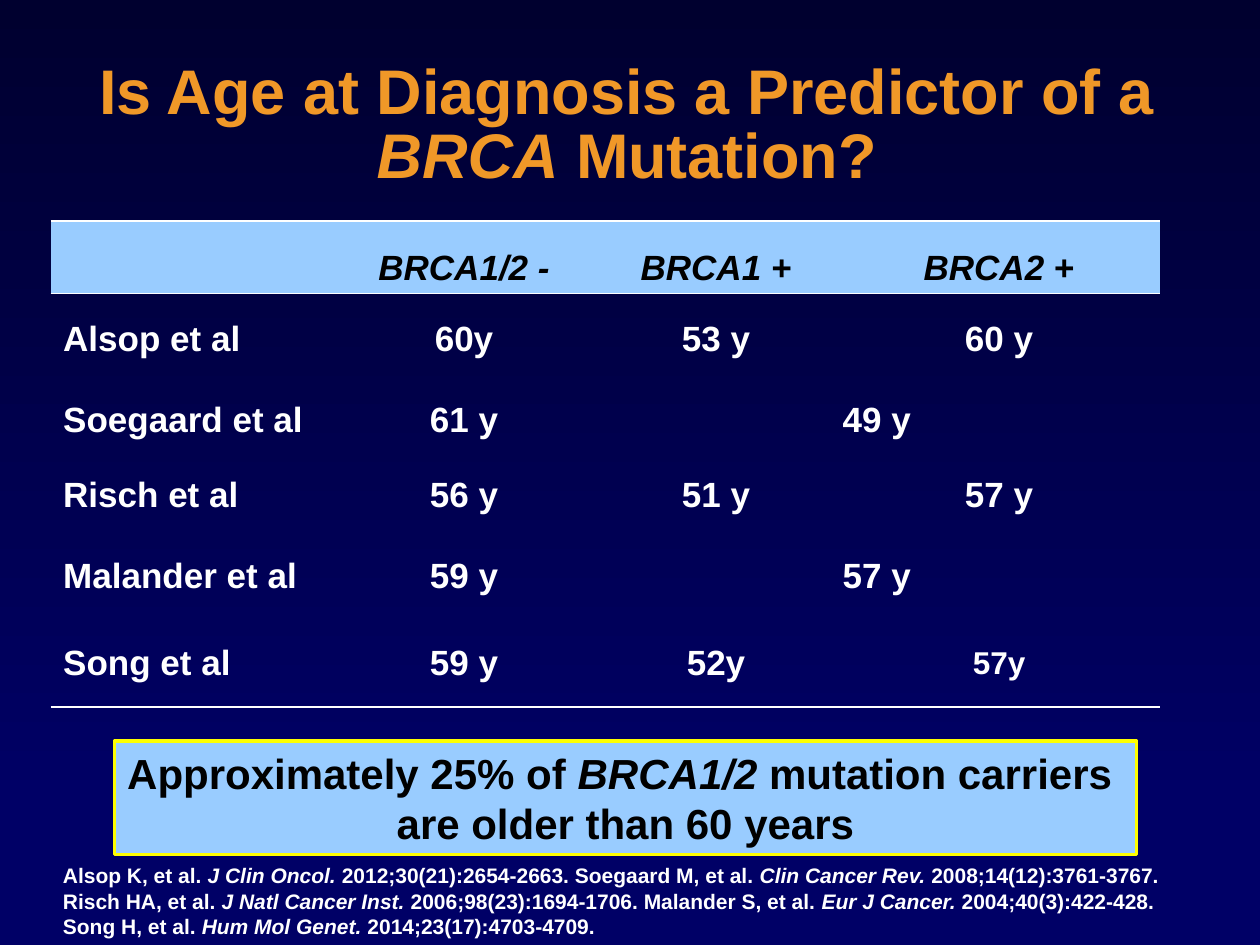
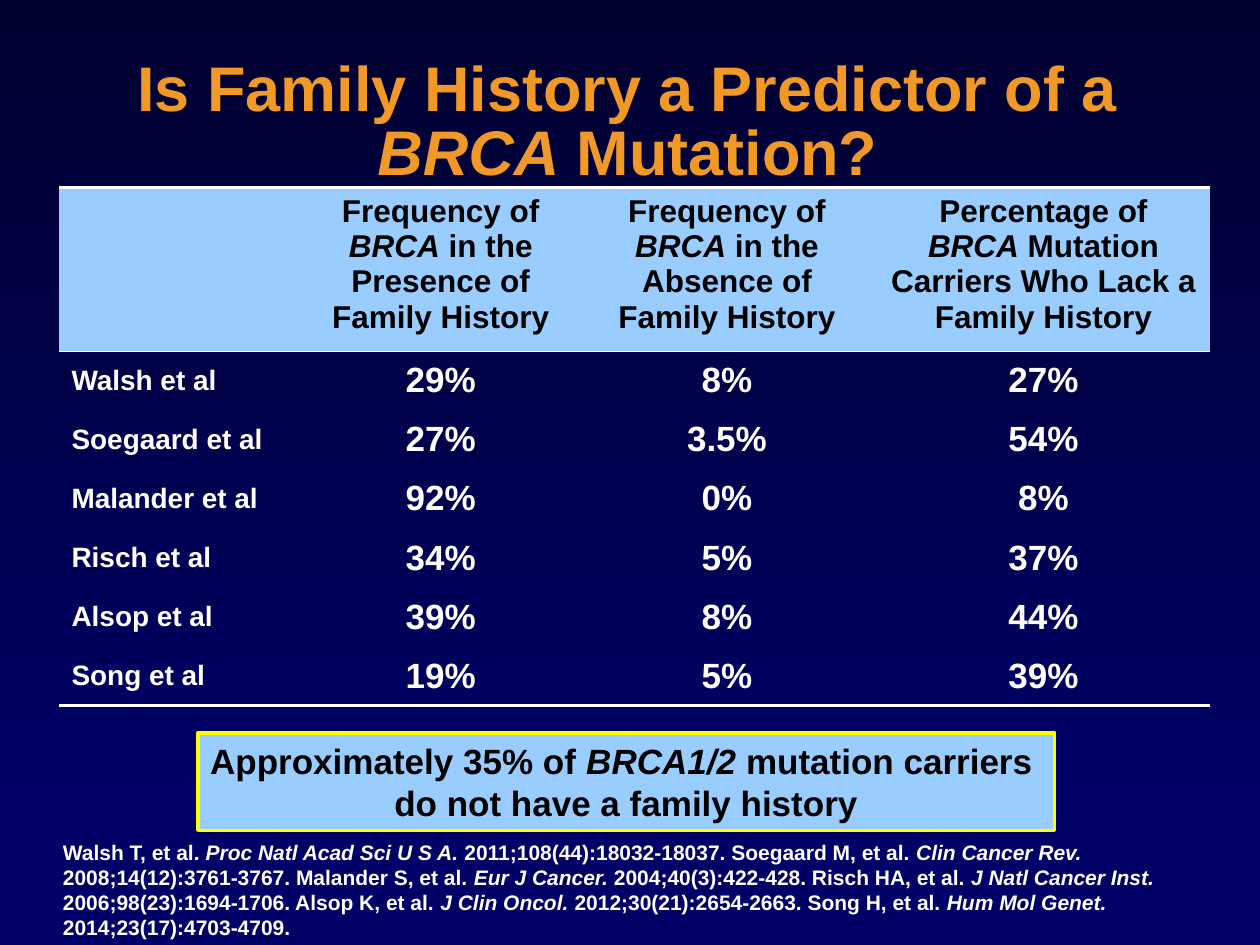
from dataclasses import dataclass
from typing import NamedTuple, Optional

from lxml import etree
from pptx import Presentation
from pptx import util as u
from pptx.dml import color as dc
from pptx.enum import shapes, text
from pptx.oxml import ns

CENTER, LEFT = text.PP_ALIGN.CENTER, text.PP_ALIGN.LEFT
TOP, MIDDLE, BOTTOM = (text.MSO_ANCHOR.TOP, text.MSO_ANCHOR.MIDDLE,
                       text.MSO_ANCHOR.BOTTOM)


@dataclass(frozen=True)
class Theme:
    font: str = "Arial"
    night: str = "00002F"
    navy: str = "000066"
    orange: str = "F09828"
    sky: str = "99CCFF"
    yellow: str = "FFFF00"
    white: str = "FFFFFF"
    black: str = "000000"
    title_size: float = 36
    reference_size: float = 12
    callout_line: float = 2
    thick_rule: float = 1.5
    thin_rule: float = 0.5


THEME = Theme()


class Box(NamedTuple):
    """Left, top, width and height in centimetres."""
    left: float
    top: float
    width: float
    height: float

    def lengths(self) -> list:
        return [u.Cm(v) for v in self]


@dataclass
class StudyTable:
    left: float
    top: float
    cols: list[float]
    rows: list[float]
    header: list[str]
    studies: list[list[Optional[str]]]  # None continues the cell on its left
    header_size: float
    header_anchor: text.MSO_ANCHOR
    name_size: float
    value_size: float
    sizes: dict[tuple[int, int], float]  # exceptions by (row, column)


@dataclass
class StudySlide:
    title: str
    title_box: Box
    title_anchor: text.MSO_ANCHOR
    title_shadow: bool
    table: StudyTable
    callout: str
    callout_box: Box
    callout_size: float
    references: str
    references_box: Box


def rgb(value: str) -> dc.RGBColor:
    return dc.RGBColor.from_string(value)


# Text: *...* is italic, \n starts a paragraph, \v breaks a line
def write_text(tf, content: str, *, size: float, color: str = THEME.white,
               align=LEFT, anchor=TOP, spacing: Optional[float] = None,
               shadow: bool = False) -> None:
    tf.vertical_anchor = anchor
    for i, line in enumerate(content.split("\n")):
        p = tf.add_paragraph() if i else tf.paragraphs[0]
        p.alignment = align
        if spacing:
            p.line_spacing = spacing
        for j, part in enumerate(line.split("*")):
            for k, piece in enumerate(part.split("\v")):
                if k:
                    p.add_line_break()
                if not piece:
                    continue
                r = p.add_run()
                r.text = piece
                r.font.name = THEME.font
                r.font.size = u.Pt(size)
                r.font.bold = True
                r.font.italic = j % 2 == 1
                r.font.color.rgb = rgb(color)
                if shadow:
                    add_text_shadow(r)


def add_text_shadow(r) -> None:
    effects = etree.Element(ns.qn("a:effectLst"))
    outer = etree.SubElement(effects, ns.qn("a:outerShdw"), blurRad="38100",
                             dist="38100", dir="2700000", algn="tl")
    etree.SubElement(outer, ns.qn("a:srgbClr"), val=THEME.black)
    r.font.fill  # the fill stands before the effects
    r.font._element.find(ns.qn("a:solidFill")).addnext(effects)


# Shared background, kept on the master
def style_master(prs, slide) -> None:
    master = prs.slide_master
    master.background.fill.solid()
    master.background.fill.fore_color.rgb = rgb(THEME.navy)
    band = slide.shapes.add_shape(shapes.MSO_SHAPE.RECTANGLE, 0, 0,
                                  prs.slide_width, u.Cm(16.31))
    band.shadow.inherit = False
    band.line.fill.background()
    band.fill.gradient()
    band.fill.gradient_angle = 270
    for stop, color in zip(band.fill.gradient_stops, (THEME.night, THEME.navy)):
        stop.color.rgb = rgb(color)
    master.shapes.element.insert(2, band.element)


# Tables
def set_borders(cell, top: float, bottom: float) -> None:
    tc_pr = cell._tc.get_or_add_tcPr()
    for i, (side, width) in enumerate(zip("LRTB", (0, 0, top, bottom))):
        ln = etree.Element(ns.qn(f"a:ln{side}"), w=str(u.Pt(width)))
        if width:
            fill = etree.SubElement(ln, ns.qn("a:solidFill"))
            etree.SubElement(fill, ns.qn("a:srgbClr"), val=THEME.white)
        else:
            etree.SubElement(ln, ns.qn("a:noFill"))
        tc_pr.insert(i, ln)


def draw_table(slide, spec: StudyTable) -> None:
    box = Box(spec.left, spec.top, sum(spec.cols), sum(spec.rows))
    table = slide.shapes.add_table(len(spec.rows), len(spec.cols),
                                   *box.lengths()).table
    table.first_row = table.horz_banding = False
    for col, width in zip(table.columns, spec.cols):
        col.width = u.Cm(width)
    for row, height in zip(table.rows, spec.rows):
        row.height = u.Cm(height)

    last = len(spec.rows) - 1
    for i, values in enumerate([spec.header] + spec.studies):
        top = {0: THEME.thick_rule, 1: THEME.thin_rule}.get(i, 0)
        bottom = {0: THEME.thin_rule, last: THEME.thick_rule}.get(i, 0)
        for j, value in enumerate(values):
            cell = table.cell(i, j)
            if i == 0:
                cell.fill.solid()
                cell.fill.fore_color.rgb = rgb(THEME.sky)
                size, color, anchor = (spec.header_size, THEME.black,
                                       spec.header_anchor)
            else:
                cell.fill.background()
                size = spec.value_size if j else spec.name_size
                color, anchor = THEME.white, MIDDLE
            set_borders(cell, top, bottom)
            if value is None:
                table.cell(i, j - 1).merge(cell)
            else:
                write_text(cell.text_frame, value,
                           size=spec.sizes.get((i, j), size), color=color,
                           align=CENTER if j else LEFT)
                cell.vertical_anchor = anchor


# Slide parts
def draw_title(slide, spec: StudySlide) -> None:
    sp = slide.shapes.title
    sp.left, sp.top, sp.width, sp.height = spec.title_box.lengths()
    sp.text_frame.auto_size = text.MSO_AUTO_SIZE.NONE
    write_text(sp.text_frame, spec.title, size=THEME.title_size,
               color=THEME.orange, align=CENTER, anchor=spec.title_anchor,
               spacing=0.85, shadow=spec.title_shadow)


def draw_callout(slide, spec: StudySlide) -> None:
    sp = slide.shapes.add_shape(shapes.MSO_SHAPE.RECTANGLE,
                                *spec.callout_box.lengths())
    sp.shadow.inherit = False
    sp.fill.solid()
    sp.fill.fore_color.rgb = rgb(THEME.sky)
    sp.line.color.rgb = rgb(THEME.yellow)
    sp.line.width = u.Pt(THEME.callout_line)
    sp.text_frame.word_wrap = False
    write_text(sp.text_frame, spec.callout, size=spec.callout_size,
               color=THEME.black, align=CENTER)


def draw_references(slide, spec: StudySlide) -> None:
    tf = slide.shapes.add_textbox(*spec.references_box.lengths()).text_frame
    tf.word_wrap = True
    write_text(tf, spec.references, size=THEME.reference_size)


# Content
AGE = StudySlide(
    title="Is Age at Diagnosis a Predictor of a *BRCA* Mutation?",
    title_box=Box(0.66, 1.14, 23.95, 2.84),
    title_anchor=TOP,
    title_shadow=False,
    table=StudyTable(
        left=1.02, top=4.45,
        cols=[5.72, 5.23, 4.93, 6.48],
        rows=[1.47, 1.83, 1.45, 1.55, 1.75, 1.75],
        header=["", "*BRCA1/2 -*", "*BRCA1 +*", "*BRCA2 *+"],
        studies=[
            ["Alsop et al", "60y", "53 y", "60 y"],
            ["Soegaard et al", "61 y", "49 y", None],
            ["Risch et al", "56 y", "51 y", "57 y"],
            ["Malander et al", "59 y", "57 y", None],
            ["Song et al", "59 y", "52y", "57y"],
        ],
        header_size=20, header_anchor=BOTTOM, name_size=20, value_size=20,
        sizes={(5, 3): 18}),
    callout="Approximately 25% of *BRCA1/2* mutation carriers \n"
            "are older than 60 years",
    callout_box=Box(2.31, 14.94, 20.6, 2.29),
    callout_size=24,
    references="Alsop K, et al. *J Clin Oncol. *2012;30(21):2654-2663. "
               "Soegaard M, et al. *Clin Cancer Rev. *2008;14(12):3761-3767. \v"
               "Risch HA, et al. *J Natl Cancer Inst. *2006;98(23):1694-1706. "
               "Malander S, et al. *Eur J Cancer. *2004;40(3):422-428. \v"
               "Song H, et al. *Hum Mol Genet. *2014;23(17):4703-4709.",
    references_box=Box(1.02, 17.27, 24.38, 1.78))

FAMILY = StudySlide(
    title="Is Family History a Predictor of a *BRCA* Mutation?",
    title_box=Box(0.89, 0.91, 23.52, 3.18),
    title_anchor=MIDDLE,
    title_shadow=True,
    table=StudyTable(
        left=1.19, top=3.78,
        cols=[4.95, 5.49, 6.05, 6.71],
        rows=[3.3] + [1.19] * 6,
        header=["",
                "Frequency of *BRCA* in the Presence of Family History",
                "Frequency of *BRCA* in the Absence of Family History",
                "Percentage of *BRCA* Mutation Carriers Who Lack a "
                "Family History"],
        studies=[
            ["Walsh et al", "29%", "8%", "27%"],
            ["Soegaard et al", "27%", "3.5%", "54%"],
            ["Malander et al", "92%", "0%", "8%"],
            ["Risch et al", "34%", "5%", "37%"],
            ["Alsop et al", "39%", "8%", "44%"],
            ["Song et al", "19%", "5%", "39%"],
        ],
        header_size=18, header_anchor=TOP, name_size=16, value_size=20,
        sizes={}),
    callout="Approximately 35% of *BRCA1/2* mutation carriers \n"
            "do not have a family history",
    callout_box=Box(3.99, 14.78, 17.27, 1.96),
    callout_size=20,
    references="Walsh T, et al. *Proc Natl Acad Sci U S A. *"
               "2011;108(44):18032-18037. "
               "Soegaard M, et al. *Clin Cancer Rev. *2008;14(12):3761-3767. "
               "Malander S, et al. *Eur J Cancer. *2004;40(3):422-428. "
               "Risch HA, et al. *J Natl Cancer Inst. *2006;98(23):1694-1706. "
               "Alsop K, et al. *J Clin Oncol. *2012;30(21):2654-2663. "
               "Song H, et al. *Hum Mol Genet. *2014;23(17):4703-4709.",
    references_box=Box(1.02, 16.79, 24.38, 2.26))


def main() -> None:
    prs = Presentation()
    prs.slide_width, prs.slide_height = u.Cm(25.4), u.Cm(19.05)
    for i, spec in enumerate((AGE, FAMILY)):
        slide = prs.slides.add_slide(prs.slide_layouts.get_by_name("Title Only"))
        if i == 0:
            style_master(prs, slide)
        draw_title(slide, spec)
        draw_table(slide, spec.table)
        draw_callout(slide, spec)
        draw_references(slide, spec)
    prs.save("out.pptx")


if __name__ == "__main__":
    main()
